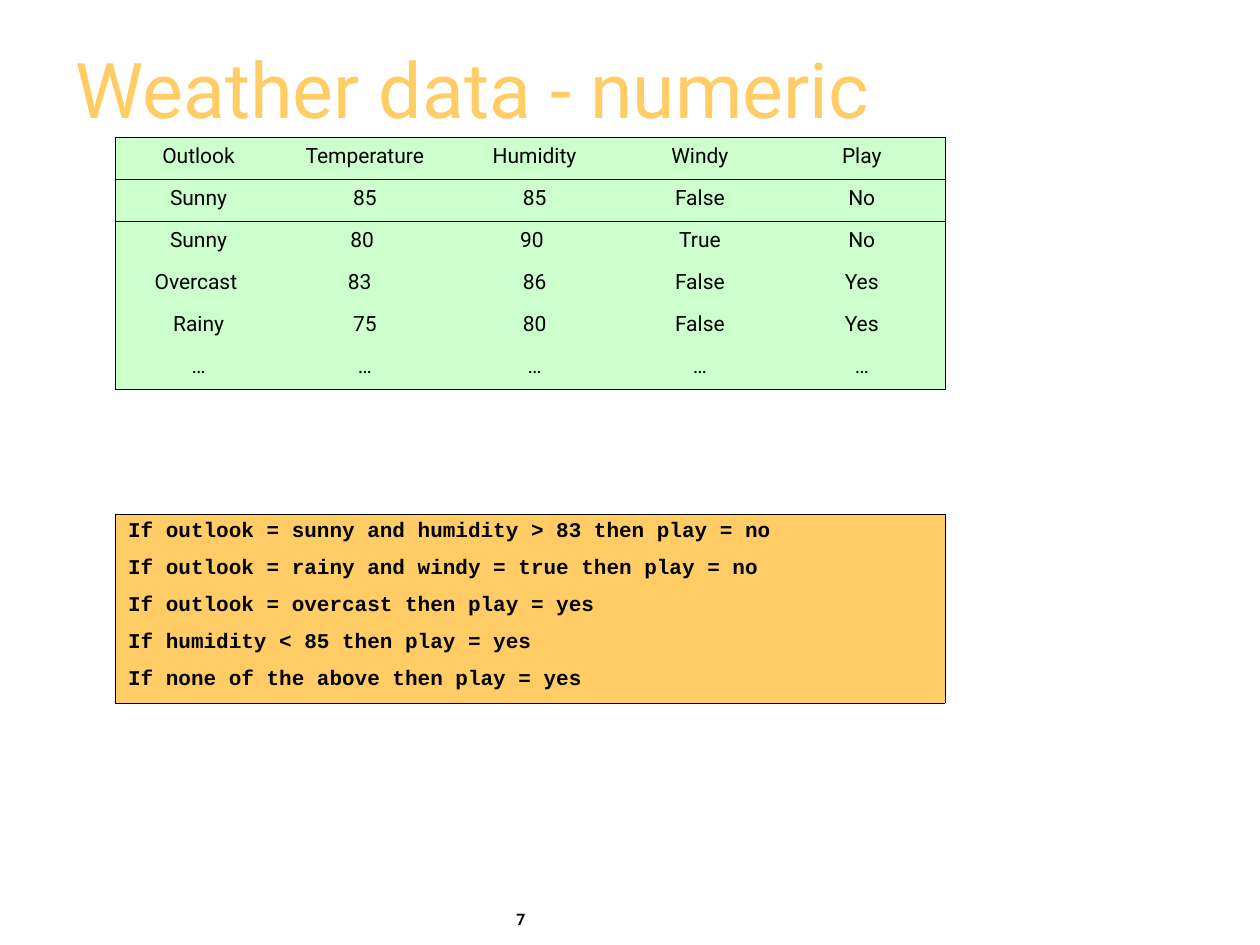
from dataclasses import dataclass

from lxml.etree import SubElement
from pptx import Presentation
from pptx.dml.color import RGBColor as RGB
from pptx.enum.text import MSO_ANCHOR as Anchor, PP_ALIGN as Align
from pptx.oxml.ns import qn
from pptx.util import Pt


@dataclass(frozen=True)
class Theme:
    text: RGB = RGB.from_string("000000")
    accent: RGB = RGB.from_string("FFCC66")
    data_fill: RGB = RGB.from_string("CCFFCC")
    sans: str = "Roboto"
    mono: str = "Courier New"
    title_size: int = 44
    body_size: int = 12
    number_size: int = 9
    line_width: float = 0.45


theme = Theme()
TITLE_FONT = {"name": theme.sans, "size": Pt(theme.title_size), "color": theme.accent}
DATA_FONT = {"name": theme.sans, "size": Pt(theme.body_size), "color": theme.text, "bold": False}
RULE_FONT = {"name": theme.mono, "size": Pt(theme.body_size), "color": theme.text, "bold": True}
NUMBER_FONT = {"name": theme.sans, "size": Pt(theme.number_size), "color": theme.text, "bold": True}

TABLE_LEFT, TABLE_WIDTH = 66, 474
DATA_TOP, ROW_HEIGHT = 78.5, 24
RULES_TOP, RULES_HEIGHT = 293.75, 108
PLAIN_TABLE_STYLE = "{2D5ABB26-0587-4C30-8999-92F81FD0307C}"

HEADINGS = ["Outlook", "Temperature", "Humidity", "Windy", "Play"]
COLUMN_WIDTHS = [95, 95, 99, 90, 95]
WEATHER = [
    HEADINGS,
    ["Sunny", "85", "85", "False", "No"],
    ["Sunny", "80", "90", "True", "No"],
    ["Overcast", "83", "86", "False", "Yes"],
    ["Rainy", "75", "80", "False", "Yes"],
    ["…"] * len(HEADINGS),
]
# Extra right margin for the few entries that sit left of centre: (row, column)
RIGHT_SHIFT = {(2, 1): 3, (2, 2): 3, (3, 0): 3, (3, 1): 6}
RULES = [
    "If outlook = sunny and humidity > 83 then play = no",
    "If outlook = rainy and windy = true then play = no",
    "If outlook = overcast then play = yes",
    "If humidity < 85 then play = yes",
    "If none of the above then play = yes",
]


def write(paragraph, text, font_format):
    run = paragraph.add_run()
    run.text = text
    for name, value in font_format.items():
        if name == "color":
            run.font.color.rgb = value
        else:
            setattr(run.font, name, value)


def finish_cell(cell, fill, sides):
    """Draw a line on each side named (of L, R, T, B), then fill the cell."""
    properties = cell._tc.get_or_add_tcPr()
    for side in sides:
        line = SubElement(properties, qn(f"a:ln{side}"), w=str(Pt(theme.line_width)))
        solid = SubElement(line, qn("a:solidFill"))
        SubElement(solid, qn("a:srgbClr"), val=str(theme.text))
    cell.fill.solid()
    cell.fill.fore_color.rgb = fill


presentation = Presentation()
presentation.slide_width, presentation.slide_height = Pt(720), Pt(540)
slide = presentation.slides.add_slide(presentation.slide_layouts[5])

title = slide.shapes.title
title.left, title.top, title.width, title.height = Pt(36), Pt(18), Pt(654), Pt(72)
title.text_frame.vertical_anchor = Anchor.MIDDLE
title_paragraph = title.text_frame.paragraphs[0]
title_paragraph.alignment = Align.LEFT
title_paragraph.line_spacing = 0.85
write(title_paragraph, "Weather data - numeric", TITLE_FONT)

data_frame = slide.shapes.add_table(
    len(WEATHER), len(HEADINGS), Pt(TABLE_LEFT), Pt(DATA_TOP),
    Pt(TABLE_WIDTH), Pt(ROW_HEIGHT * len(WEATHER)))
rules_frame = slide.shapes.add_table(
    1, 1, Pt(TABLE_LEFT), Pt(RULES_TOP), Pt(TABLE_WIDTH), Pt(RULES_HEIGHT))
for frame in (data_frame, rules_frame):
    frame.table.first_row = frame.table.horz_banding = False
    frame.table._tbl.tblPr.find(qn("a:tableStyleId")).text = PLAIN_TABLE_STYLE

data_table = data_frame.table
for column, width in zip(data_table.columns, COLUMN_WIDTHS):
    column.width = Pt(width)
last_row, last_column = len(WEATHER) - 1, len(HEADINGS) - 1
for row, entries in enumerate(WEATHER):
    for column, entry in enumerate(entries):
        cell = data_table.cell(row, column)
        paragraph = cell.text_frame.paragraphs[0]
        paragraph.alignment = Align.CENTER
        write(paragraph, entry, DATA_FONT)
        cell.margin_right = Pt(7.2 + RIGHT_SHIFT.get((row, column), 0))
        lined = {"L": column == 0, "R": column == last_column,
                 "T": row in (0, 1), "B": row in (0, last_row)}
        finish_cell(cell, theme.data_fill, [side for side in lined if lined[side]])

rules_cell = rules_frame.table.cell(0, 0)
for index, rule in enumerate(RULES):
    if index == 0:
        paragraph = rules_cell.text_frame.paragraphs[0]
    else:
        paragraph = rules_cell.text_frame.add_paragraph()
        paragraph.space_before = Pt(7.5)
    write(paragraph, rule, RULE_FONT)
finish_cell(rules_cell, theme.accent, "LRTB")

number_box = slide.shapes.add_textbox(Pt(288), Pt(516.25), Pt(73.5), Pt(23.75))
number_box.text_frame.word_wrap = True
write(number_box.text_frame.paragraphs[0], "7", NUMBER_FONT)

presentation.save("out.pptx")
